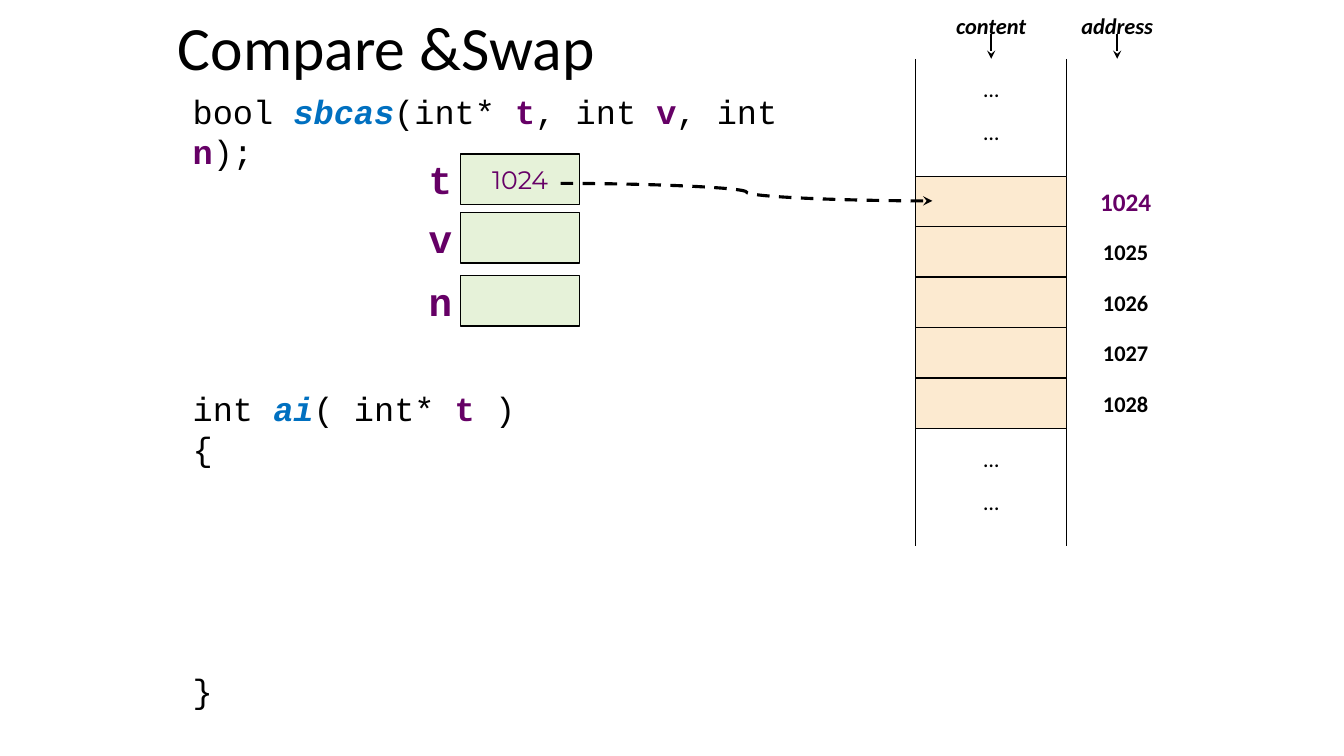
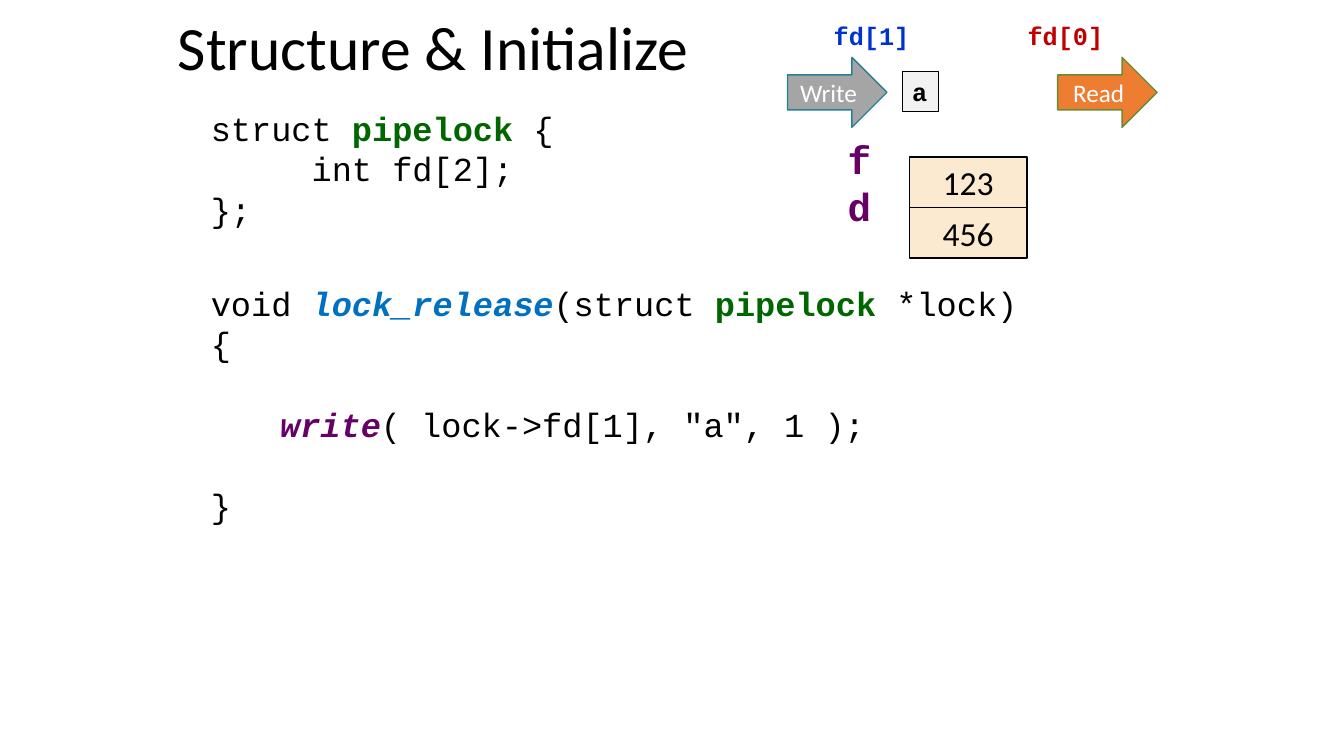
from dataclasses import dataclass
from pptx import Presentation
from pptx.dml.color import RGBColor
from pptx.enum import dml, shapes, text
from pptx.oxml import ns, xmlchemy
from pptx.util import Pt

BLACK = RGBColor(0, 0, 0)
WHITE = RGBColor(0xFF, 0xFF, 0xFF)
PURPLE = RGBColor(0x66, 0x00, 0x66)
BLUE = RGBColor(0x00, 0x70, 0xC0)
GREEN = RGBColor(0x00, 0x66, 0x00)
WRITE_BLUE = RGBColor(0x00, 0x33, 0xCC)
READ_RED = RGBColor(0xC0, 0x00, 0x00)
MEMORY_FILL = RGBColor(0xFC, 0xEA, 0xD0)
REGISTER_FILL = RGBColor(0xE6, 0xF2, 0xD9)
TOKEN_FILL = RGBColor(0xF2, 0xF2, 0xF2)
WRITE_FILL = RGBColor(0xA5, 0xA5, 0xA5)
WRITE_EDGE = RGBColor(0x27, 0x7F, 0x96)
READ_FILL = RGBColor(0xED, 0x7D, 0x31)
READ_EDGE = RGBColor(0x65, 0x8C, 0x32)

SANS, MONO, DOTS = "Calibri", "Courier New", "Montserrat"
PADDED, CELL = (7.2, 3.6), (0, 18)
LEFT, CENTER = text.PP_ALIGN.LEFT, text.PP_ALIGN.CENTER
TOP, MIDDLE = text.MSO_ANCHOR.TOP, text.MSO_ANCHOR.MIDDLE
RECTANGLE = shapes.MSO_SHAPE.RECTANGLE
ROW = 36
CODE_LINE = 28.8


@dataclass
class Span:
    text: str
    color: RGBColor = None
    bold: bool = False
    italic: bool = False


@dataclass
class Para:
    spans: list
    before: float = 0
    left: float = 0


def function(name, color=BLUE):
    return Span(name, color, True, True)


def keyword(name, color=PURPLE):
    return Span(name, color, True)


def write(box, content, font=SANS, size=18, color=BLACK, bold=False, italic=False,
          align=CENTER, anchor=MIDDLE, inset=CELL, spacing=None):
    frame = box.text_frame
    frame.word_wrap = True
    frame.vertical_anchor = anchor
    frame.margin_left = frame.margin_right = Pt(inset[0])
    frame.margin_top = frame.margin_bottom = Pt(inset[1])
    if isinstance(content, str):
        content = [Para([Span(content, color, bold, italic)])]
    for index, item in enumerate(content):
        para = frame.add_paragraph() if index else frame.paragraphs[0]
        para.alignment = align
        if spacing:
            para.line_spacing = spacing
        if item.before:
            para.space_before = Pt(item.before)
        if item.left:
            properties = para._p.get_or_add_pPr()
            properties.set("marL", str(Pt(item.left)))
            properties.set("indent", "0")
        for span in item.spans:
            run = para.add_run()
            run.text = span.text
            run.font.name = font
            run.font.size = Pt(size)
            run.font.bold = span.bold
            run.font.italic = span.italic
            run.font.color.rgb = span.color or color


def add_text(page, x, y, width, height, content, **style):
    box = page.shapes.add_textbox(Pt(x), Pt(y), Pt(width), Pt(height))
    write(box, content, **style)


def add_block(page, x, y, width, height, fill, content=None, kind=RECTANGLE,
              edge=BLACK, weight=1, **style):
    block = page.shapes.add_shape(kind, Pt(x), Pt(y), Pt(width), Pt(height))
    block.shadow.inherit = False
    block.fill.solid()
    block.fill.fore_color.rgb = fill
    block.line.color.rgb = edge
    block.line.width = Pt(weight)
    if content:
        write(block, content, **style)


def add_line(page, x1, y1, x2, y2, weight=1, arrow=False, dashed=False, curved=False):
    kind = shapes.MSO_CONNECTOR.CURVE if curved else shapes.MSO_CONNECTOR.STRAIGHT
    line = page.shapes.add_connector(kind, Pt(x1), Pt(y1), Pt(x2), Pt(y2))
    line.line.color.rgb = BLACK
    line.line.width = Pt(weight)
    if dashed:
        line.line.dash_style = dml.MSO_LINE.DASH
    if arrow:
        head = xmlchemy.OxmlElement("a:tailEnd")
        head.set("type", "stealth")
        line.line._get_or_add_ln().append(head)
    line._element.find(ns.qn("p:spPr")).append(xmlchemy.OxmlElement("a:effectLst"))


def add_code(page, x, y, width, height, content):
    add_text(page, x, y, width, height, content, font=MONO, size=24,
             align=LEFT, anchor=TOP, inset=PADDED)


def add_name(page, x, y, name):
    add_text(page, x, y, 29.5, ROW, name, font=MONO, size=28, color=PURPLE, bold=True)


def add_page(deck, title):
    page = deck.slides.add_slide(deck.slide_layouts[6])
    add_text(page, 120, -1.5, 720, 75, title, size=44, align=LEFT,
             inset=PADDED, spacing=0.9)
    return page


def add_memory(page):
    x, y, width, count = 654, 126, 108, 5
    for row in range(count):
        top = y + row * ROW
        add_block(page, x, top, width, ROW, MEMORY_FILL)
        first = row == 0
        add_text(page, 774, top, 60, ROW, str(1024 + row), bold=True,
                 size=18 if first else 16, color=PURPLE if first else BLACK)
    dots = [Para([Span("…")]), Para([Span("…")], before=9)]
    for top in (y - 84, y + count * ROW):
        add_text(page, x, top - 6, width, 84, dots, font=DOTS)
        for side in (x, x + width):
            add_line(page, side, top, side, top + 84)
    for heading, center in (("content", 708), ("address", 798)):
        add_text(page, center - 30, 0, 60, ROW, heading, size=16, bold=True, italic=True)
        add_line(page, center, 24, center, 42, arrow=True)


def build_swap(deck):
    page = add_page(deck, "Compare &Swap")
    add_memory(page)
    for name, y, value in (("t", 110, "1024"), ("v", 152, None), ("n", 197, None)):
        add_block(page, 329, y, 85, ROW, REGISTER_FILL, value, font=DOTS, color=PURPLE)
        add_name(page, 299.75, y, name)
    add_line(page, 400.5, 131, 666, 143.5, weight=2.25, arrow=True, dashed=True, curved=True)
    add_code(page, 130.5, 61.5, 470, 36, [
        Para([Span("bool "), function("sbcas"), Span("(int* "), keyword("t"),
              Span(", int "), keyword("v"), Span(", int "), keyword("n"), Span(");")])])
    add_code(page, 130.5, 273.5, 470, 240, [
        Para([Span("int "), function("ai"), Span("( int* "), keyword("t"), Span(" )")]),
        Para([Span("{")]),
        Para([Span("}")], before=5 * CODE_LINE)])


def build_pipe(deck):
    page = add_page(deck, "Structure & Initialize")
    add_code(page, 143.5, 73.5, 470, 94, [
        Para([Span("struct "), keyword("pipelock", GREEN), Span(" {")]),
        Para([Span("int fd[2];")], left=72),
        Para([Span("};")])])
    add_code(page, 143.5, 198.5, 603, 153, [
        Para([Span("void "), function("lock_release"), Span("(struct "),
              keyword("pipelock", GREEN), Span(" *lock) {")]),
        Para([function("write", PURPLE), Span('( lock->fd[1], "a", 1 );')],
             before=CODE_LINE, left=49.5),
        Para([Span("}")], before=CODE_LINE)])
    for name, x, fill, edge in (("Write", 562.5, WRITE_FILL, WRITE_EDGE),
                                ("Read", 755.5, READ_FILL, READ_EDGE)):
        add_block(page, x, 41, 71, 50, fill, name, kind=shapes.MSO_SHAPE.RIGHT_ARROW,
                  edge=edge, color=WHITE, inset=PADDED)
    for name, x, color in (("fd[1]", 589, WRITE_BLUE), ("fd[0]", 727.5, READ_RED)):
        add_text(page, x, 11.5, 70, 28, name, font=MONO, color=color, bold=True,
                 align=LEFT, anchor=TOP, inset=(6.5, 3.25))
    add_block(page, 644.5, 51, 26, 29, TOKEN_FILL, "a", weight=0.75, font=MONO,
              bold=True, align=LEFT, anchor=TOP, inset=PADDED)
    for row, value in enumerate(("123", "456")):
        add_block(page, 649.5, 112.25 + row * ROW, 84, ROW, MEMORY_FILL, value, size=24)
    add_name(page, 599, 112.25, "fd")


def main():
    deck = Presentation()
    deck.slide_width, deck.slide_height = Pt(960), Pt(540)
    build_swap(deck)
    build_pipe(deck)
    deck.save("out.pptx")


if __name__ == "__main__":
    main()
